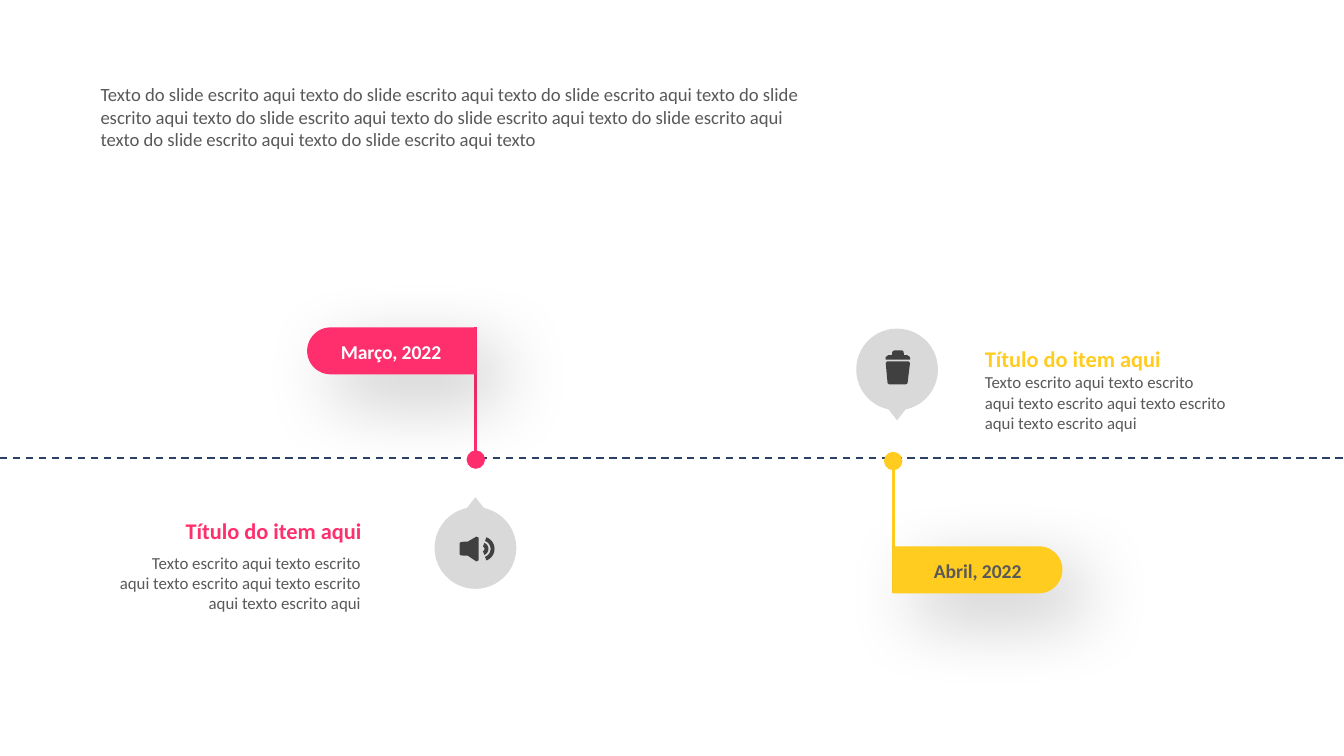
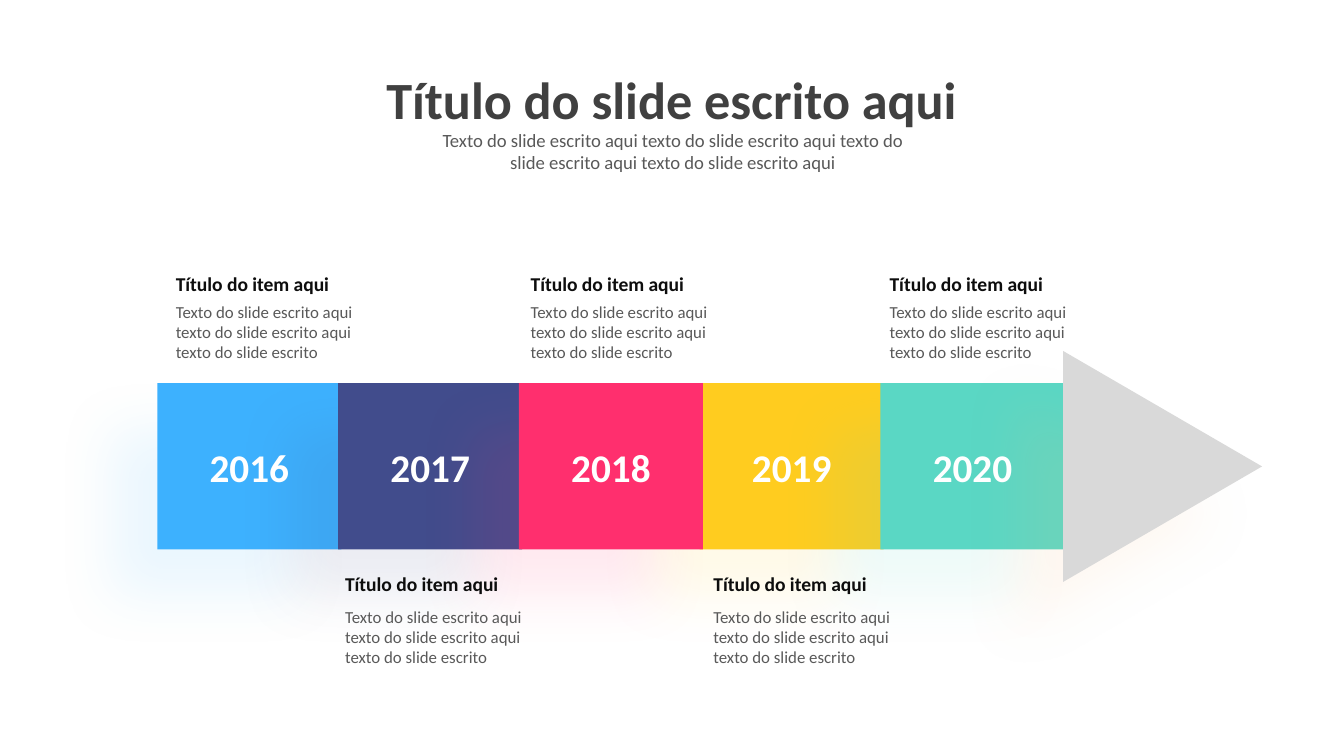
from dataclasses import dataclass
from math import cos, radians, sin

from lxml import etree
from pptx import Presentation
from pptx.dml.color import RGBColor
from pptx.enum.dml import MSO_LINE
from pptx.enum.shapes import MSO_CONNECTOR, MSO_SHAPE
from pptx.enum.text import MSO_ANCHOR, MSO_AUTO_SIZE, PP_ALIGN
from pptx.oxml.ns import qn
from pptx.shapes.base import BaseShape
from pptx.slide import Slide
from pptx.util import Pt

RECT, TRIANGLE = MSO_SHAPE.RECTANGLE, MSO_SHAPE.ISOSCELES_TRIANGLE
ROUND_TOP = MSO_SHAPE.ROUND_2_SAME_RECTANGLE
LEFT, CENTER, RIGHT = PP_ALIGN.LEFT, PP_ALIGN.CENTER, PP_ALIGN.RIGHT
TOP, MIDDLE = MSO_ANCHOR.TOP, MSO_ANCHOR.MIDDLE
STRAIGHT, DASH = MSO_CONNECTOR.STRAIGHT, MSO_LINE.DASH
GROW, FIXED = MSO_AUTO_SIZE.SHAPE_TO_FIT_TEXT, MSO_AUTO_SIZE.NONE

FONT = "Calibri"
PINK, YELLOW, BLUE, INDIGO, TEAL = "FF2F6E", "FFCC1F", "3DB1FE", "414C8C", "5AD7C4"
NAVY, GRAY, ICON, BODY, INK, WHITE = "2C4166", "D9D9D9", "404040", "595959", "0D0D0D", "FFFFFF"
PEACH, BLACK = "FEB976", "000000"

Point = tuple[float, float]
Box = tuple[float, float, float, float]

ITEM_TITLE = "Título do item aqui"
MILESTONE_TEXT = ("Texto escrito aqui texto escrito aqui texto escrito aqui "
                  "texto escrito aqui texto escrito aqui")
YEAR_TEXT = "Texto do slide escrito aqui texto do slide escrito aqui texto do slide escrito"
INTRO = ("Texto do slide escrito aqui texto do slide escrito aqui texto do slide escrito aqui "
         "texto do slide escrito aqui texto do slide escrito aqui texto do slide escrito aqui "
         "texto do slide escrito aqui texto do slide escrito aqui texto do slide escrito aqui texto")
SUBTITLE = ("Texto do slide escrito aqui texto do slide escrito aqui "
            "texto do slide escrito aqui texto do slide escrito aqui")


@dataclass(frozen=True)
class Shadow:
    color: str
    alpha: int
    blur: float
    distance: float
    angle: int


@dataclass(frozen=True)
class Milestone:
    date: str
    date_color: str
    date_box: Box
    color: str
    flag: Box
    rotation: int
    stem_start: Point
    stem_end: Point
    pin_center: Point
    pin_direction: int  # -1 points up, 1 points down
    title_box: Box
    text_box: Box
    align: PP_ALIGN
    icon: list[list[Point]]


@dataclass(frozen=True)
class Year:
    label: str
    column: int
    color: str
    caption_left: float
    above: bool


def rgb(color: str) -> RGBColor:
    return RGBColor.from_string(color)


def finish(shape: BaseShape, color: str, shadow: Shadow | None = None) -> None:
    """Give a shape a plain fill, no outline and an optional soft shadow."""
    shape.fill.solid()
    shape.fill.fore_color.rgb = rgb(color)
    shape.line.fill.background()
    shape.shadow.inherit = False
    if shadow:
        effects = shape.element.spPr.find(qn("a:effectLst"))
        outer = etree.SubElement(
            effects, qn("a:outerShdw"), blurRad=str(Pt(shadow.blur)),
            dist=str(Pt(shadow.distance)), dir=str(shadow.angle * 60000),
            algn="ctr", rotWithShape="0")
        tint = etree.SubElement(outer, qn("a:srgbClr"), val=shadow.color)
        etree.SubElement(tint, qn("a:alpha"), val=str(shadow.alpha * 1000))


def add_block(slide: Slide, kind: MSO_SHAPE, box: Box, color: str,
              shadow: Shadow, rotation: int = 0) -> BaseShape:
    block = slide.shapes.add_shape(kind, *map(Pt, box))
    block.rotation = rotation
    finish(block, color, shadow)
    return block


def add_outline(slide: Slide, points: list[Point], color: str) -> None:
    vertices = [(Pt(x), Pt(y)) for x, y in points]
    builder = slide.shapes.build_freeform(*vertices[0])
    builder.add_line_segments(vertices[1:], close=True)
    finish(builder.convert_to_shape(), color)


def add_line(slide: Slide, start: Point, end: Point, color: str, width: float,
             dashed: bool = False, dot: bool = False) -> None:
    line = slide.shapes.add_connector(STRAIGHT, *map(Pt, start + end))
    line.line.color.rgb = rgb(color)
    line.line.width = Pt(width)
    if dashed:
        line.line.dash_style = DASH
    properties = line.element.spPr
    if dot:
        etree.SubElement(properties.find(qn("a:ln")), qn("a:tailEnd"),
                         type="oval", w="lg", len="lg")
    etree.SubElement(properties, qn("a:effectLst"))


def add_text(slide: Slide, text: str, box: Box, *, size: float, color: str = BODY,
             bold: bool = False, align: PP_ALIGN = LEFT, anchor: MSO_ANCHOR = TOP,
             wrap: bool = True, grow: bool = True, spacing: float | None = None) -> None:
    frame = slide.shapes.add_textbox(*map(Pt, box)).text_frame
    frame.word_wrap = wrap
    frame.auto_size = GROW if grow else FIXED
    frame.vertical_anchor = anchor
    paragraph = frame.paragraphs[0]
    paragraph.alignment = align
    paragraph.line_spacing = spacing
    run = paragraph.add_run()
    run.text = text
    run.font.name = FONT
    run.font.size = Pt(size)
    run.font.bold = bold
    run.font.color.rgb = rgb(color)


def arc(center: Point, radius: float, start: int, end: int) -> list[Point]:
    """Points along an arc, with angles in degrees clockwise from the right."""
    steps = 48
    angles = [radians(start + (end - start) * i / steps) for i in range(steps + 1)]
    return [(center[0] + radius * cos(a), center[1] + radius * sin(a)) for a in angles]


def sound_wave(inner: float, outer: float) -> list[Point]:
    center = (258.3, 294.1)
    return arc(center, outer, -70, 70) + arc(center, inner, 70, -70)


def add_pin(slide: Slide, center: Point, direction: int) -> None:
    tip = (center[0], center[1] + direction * 27.2)
    middle = 90 * direction
    add_outline(slide, [tip] + arc(center, 21.9, middle + 12, middle + 348), GRAY)


SPEAKER = [
    [(246.3, 291), (247, 290.3), (250.6, 290.2), (255.2, 287.5), (256.4, 288),
     (256.4, 300.2), (255.2, 300.8), (250.6, 297.7), (247, 297.6), (246.3, 297)],
    sound_wave(1.3, 3.4),
    sound_wave(4.5, 6.6),
]
TRASH_CAN = [
    [(474.4, 192.6), (474.5, 191.3), (476, 190.2), (486, 190.2), (487.5, 191.3), (487.6, 192.6)],
    [(477.5, 192), (478.1, 188.4), (479, 187.8), (483.4, 187.8), (484.1, 188.4), (484.6, 192)],
    [(474.5, 194.5), (475.2, 193.7), (486.8, 193.7), (487.5, 194.5),
     (486.2, 205.3), (485.3, 206), (476.3, 206), (475.5, 205.3)],
]

MILESTONES = [
    Milestone("Março, 2022", WHITE, (169.2, 178.5, 80.6, 20.2), PINK,
              (197.3, 142.6, 25.2, 90.7), 270, (254.9, 175), (254.9, 246.2),
              (254.7, 293.6), -1, (83.5, 267.8, 117.4, 26), (56.9, 292.3, 143.3, 33.8),
              RIGHT, SPEAKER),
    Milestone("Abril, 2022", BODY, (483.1, 295.9, 81.4, 20.2), YELLOW,
              (511.2, 259.9, 25.2, 90.7), 90, (478.5, 317.5), (478.5, 247),
              (480.6, 198), 1, (520.5, 175.7, 117.4, 26), (520.5, 195.8, 143.3, 33.8),
              LEFT, TRASH_CAN),
]

# Listed from back to front, as neighbouring blocks overlap slightly.
YEARS = [
    Year("2016", 0, BLUE, 87.1, True),
    Year("2017", 1, INDIGO, 177.8, False),
    Year("2019", 3, YELLOW, 375.1, False),
    Year("2018", 2, PINK, 277.2, True),
    Year("2020", 4, TEAL, 469.5, True),
]
BLOCK_LEFT, BLOCK_TOP, BLOCK_STEP = 84.3, 205.2, 96.84
BLOCK_WIDTH, BLOCK_HEIGHT, LABEL_WIDTH = 98.6, 89.2, 71.3


def add_milestone(slide: Slide, item: Milestone) -> None:
    add_pin(slide, item.pin_center, item.pin_direction)
    for part in item.icon:
        add_outline(slide, part, ICON)
    add_line(slide, item.stem_start, item.stem_end, item.color, 1.5, dot=True)
    flag = add_block(slide, ROUND_TOP, item.flag, item.color,
                     Shadow(BLACK, 23, 40, 18, 45), item.rotation)
    flag.adjustments[0] = 0.5
    flag.adjustments[1] = 0
    add_text(slide, item.date, item.date_box, size=10.5, color=item.date_color,
             bold=True, align=CENTER)
    add_text(slide, ITEM_TITLE, item.title_box, size=12, color=item.color,
             bold=True, align=item.align, wrap=False, spacing=1.4)
    add_text(slide, MILESTONE_TEXT, item.text_box, size=9, align=item.align, grow=False)


def build_milestones(slide: Slide) -> None:
    add_line(slide, (0, 245.5), (720, 245.5), NAVY, 1, dashed=True)
    for item in MILESTONES:
        add_milestone(slide, item)
    add_text(slide, INTRO, (46.8, 41, 388.8, 43.9), size=10)


def soft_glow(color: str) -> Shadow:
    return Shadow(color, 10, 30, 35, 135)


def build_years(slide: Slide) -> None:
    for year in YEARS:
        left = BLOCK_LEFT + year.column * BLOCK_STEP
        add_block(slide, RECT, (left, BLOCK_TOP, BLOCK_WIDTH, BLOCK_HEIGHT),
                  year.color, soft_glow(year.color))
    add_block(slide, TRIANGLE, (560.9, 196.6, 123.8, 106.6), GRAY, soft_glow(PEACH), 90)
    for year in YEARS:
        title_top, text_top = (141.8, 157.7) if year.above else (302.4, 321.1)
        add_text(slide, ITEM_TITLE, (year.caption_left, title_top, 131, 20.2),
                 size=10.5, color=INK, bold=True, anchor=MIDDLE)
        add_text(slide, YEAR_TEXT, (year.caption_left, text_top, 123.1, 40.3),
                 size=9, anchor=MIDDLE)
        label_left = BLOCK_LEFT + year.column * BLOCK_STEP + (BLOCK_WIDTH - LABEL_WIDTH) / 2
        add_text(slide, year.label, (label_left, 234, LABEL_WIDTH, 32.4), size=21,
                 color=WHITE, bold=True, align=CENTER, anchor=MIDDLE)
    add_text(slide, "Título do slide escrito aqui", (140.4, 32.4, 438.5, 41),
             size=28, color=ICON, bold=True, align=CENTER)
    add_text(slide, SUBTITLE, (223.2, 65.5, 274.3, 31.7), size=10, align=CENTER)


def main() -> None:
    deck = Presentation()
    deck.slide_width, deck.slide_height = Pt(720), Pt(405)
    blank = deck.slide_layouts[6]
    for build in (build_milestones, build_years):
        build(deck.slides.add_slide(blank))
    deck.save("out.pptx")


if __name__ == "__main__":
    main()
